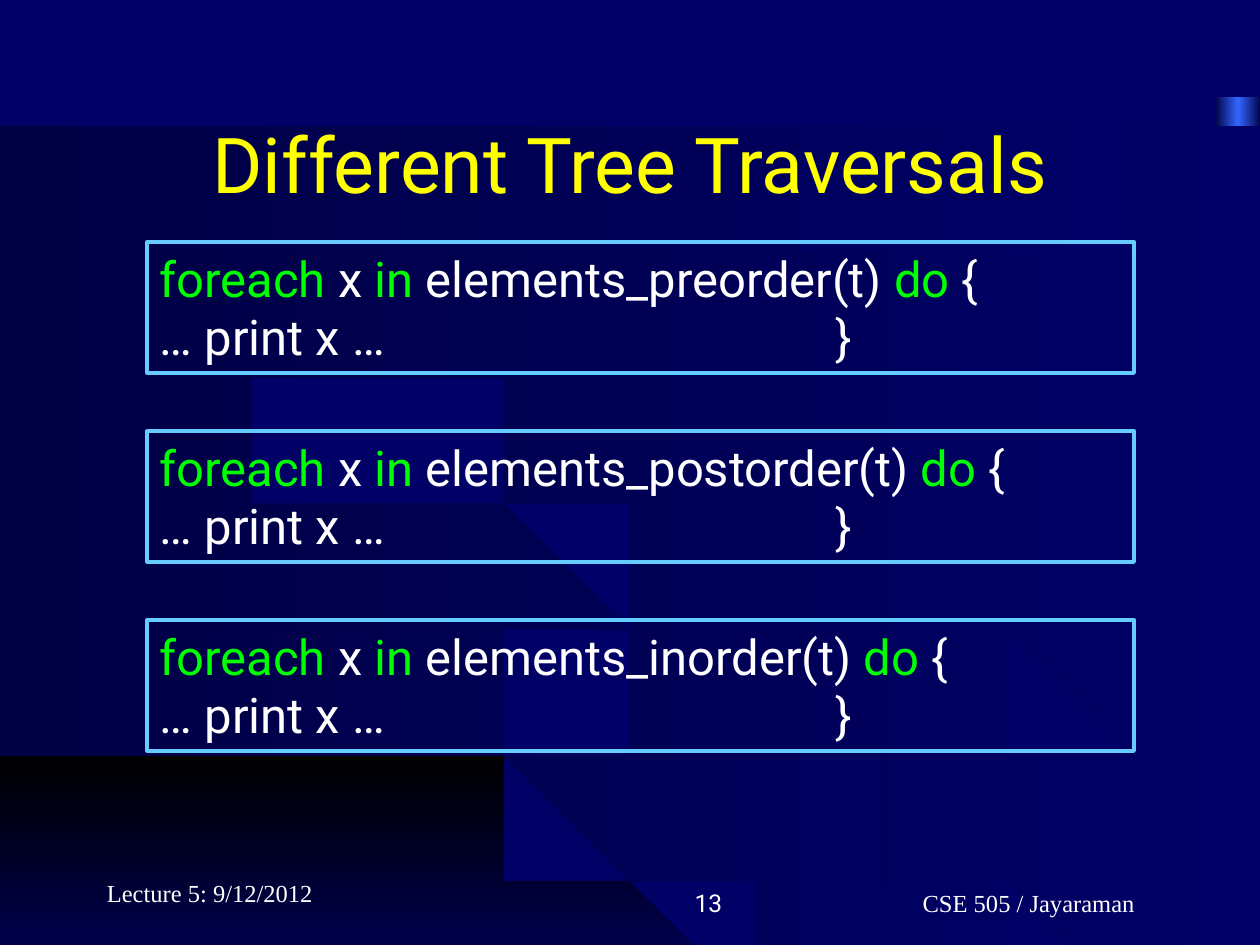
from copy import deepcopy

from lxml.etree import SubElement
from pptx import Presentation
from pptx.dml.color import RGBColor
from pptx.enum.shapes import MSO_SHAPE
from pptx.enum.text import MSO_ANCHOR, MSO_AUTO_SIZE, PP_ALIGN
from pptx.oxml.ns import qn
from pptx.util import Inches, Pt

COLORS = {
    "navy": "000066", "dark": "000044", "black": "000000", "glow": "3366FF",
    "frame": "66CCFF", "title": "FFFF00", "key": "00FF00", "text": "FFFFFF",
}
SANS, SERIF = "Roboto", "Times New Roman"
EDGE = 10.01

# Each arc leaves the left side level: start y, bend x, end x, end y.
# A band lies between two arcs, with an extra corner where it needs one.
BANDS = [
    ((4.95, 5.75, 8.94, 8.25), (5.54, 4.4, 6.43, 8.25)),
    ((4.21, 6.7, EDGE, 6.37), (4.8, 6.1, 9.1, 8.25), (EDGE, 8.25)),
    ((3.46, 5.4, EDGE, 4.56), (4.07, 6.5, EDGE, 6.19)),
    ((2.73, 5, EDGE, 2.73), (3.32, 5.6, EDGE, 4.42)),
    ((2.06, 6.7, 9.44, 0.75), (2.59, 5, EDGE, 2.59), (EDGE, 0.75)),
    ((1.39, 3.2, 5.57, 0.75), (1.92, 6, 9.18, 0.75)),
    ((0.75, 2.5, 5.02, 0.75), (1.24, 2.93, 5.02, 0.75)),
]
HILL = ((5.68, 4, 6.29, 8.27), (8.27, 3, 6.29, 8.27))


def rgb(name):
    """Return a palette colour."""
    return RGBColor.from_string(COLORS[name])


def blend(shape, *names, angle=0):
    """Fill a shape with evenly spaced gradient stops and no line."""
    shape.shadow.inherit = False
    shape.line.fill.background()
    shape.fill.gradient()
    shape.fill.gradient_angle = angle
    stops = shape._element.spPr.find(".//" + qn("a:gsLst"))
    for _ in names[2:]:
        stops.append(deepcopy(stops[0]))
    for i, (stop, name) in enumerate(zip(shape.fill.gradient_stops, names)):
        stop.color.rgb = rgb(name)
        stop.position = i / (len(names) - 1)


def arc(start, bend, right, end, steps=24):
    """Return points on a quadratic curve that starts level."""
    ticks = [i / steps for i in range(steps + 1)]
    return [(2 * t * (1 - t) * bend + t * t * right,
             start + t * t * (end - start)) for t in ticks]


def band(shapes, upper, lower, *corner):
    """Draw the area between two arcs."""
    points = arc(*upper) + list(corner) + arc(*lower)[::-1]
    pen = shapes.build_freeform(*points[0], scale=Inches(1))
    pen.add_line_segments(points[1:], close=True)
    return pen.convert_to_shape()


def write(para, text, size=14, font=SANS, color="text", align=None):
    """Add one formatted run to a paragraph."""
    run = para.add_run()
    run.text = text
    run.font.size = Pt(size)
    run.font.name = font
    run.font.color.rgb = rgb(color)
    if align is not None:
        para.alignment = align


def backdrop(slide):
    """Draw the glowing edge and the curved bands."""
    slide.background.fill.solid()
    slide.background.fill.fore_color.rgb = rgb("navy")
    shapes = slide.shapes.add_group_shape().shapes
    side = shapes.add_shape(MSO_SHAPE.RECTANGLE, Inches(9.64), Inches(0.77),
                            Inches(0.37), Inches(7.5))
    blend(side, "dark", "glow", "dark")
    blend(band(shapes, *HILL), "black", "navy", angle=270)
    for parts in BANDS:
        blend(band(shapes, *parts), "dark", "navy")


def heading(slide, text):
    """Fill the title placeholder and bring it to the front."""
    title = slide.shapes.title
    title.left, title.top = Inches(0.75), Inches(0.67)
    title.width, title.height = Inches(8.5), Inches(1.25)
    title.text_frame.vertical_anchor = MSO_ANCHOR.MIDDLE
    write(title.text_frame.paragraphs[0], text, size=44, color="title",
          align=PP_ALIGN.CENTER)
    slide.shapes._spTree.append(title._element)


def code(slide, top, order):
    """Draw a framed loop over one traversal order."""
    box = slide.shapes.add_shape(MSO_SHAPE.RECTANGLE, Inches(1.17),
                                 Inches(top), Inches(7.83), Inches(1.04))
    box.shadow.inherit = False
    box.fill.background()
    box.line.color.rgb = rgb("frame")
    box.line.width = Pt(2.25)
    frame = box.text_frame
    frame.word_wrap = True
    frame.auto_size = MSO_AUTO_SIZE.SHAPE_TO_FIT_TEXT
    frame.vertical_anchor = MSO_ANCHOR.TOP
    para = frame.paragraphs[0]
    para.alignment = PP_ALIGN.LEFT
    tabs = SubElement(para._p.get_or_add_pPr(), qn("a:tabLst"))
    SubElement(tabs, qn("a:tab"), pos=str(Inches(5.36)), algn="l")
    for text, color in (("foreach ", "key"), ("x ", "text"), ("in ", "key"),
                        (f"elements_{order}(t)", "text"), (" do ", "key"),
                        ("{", "text")):
        write(para, text, size=28, color=color)
    para.add_line_break()
    write(para, "… print x …\t}", size=28)


def note(slide, left, top, width, text, **style):
    """Add a footer text box."""
    box = slide.shapes.add_textbox(Inches(left), Inches(top),
                                   Inches(width), Inches(0.5))
    box.text_frame.word_wrap = True
    box.text_frame.vertical_anchor = MSO_ANCHOR.BOTTOM
    write(box.text_frame.paragraphs[0], text, **style)


def main():
    """Build and save the slide."""
    deck = Presentation()
    deck.slide_width, deck.slide_height = Inches(10), Inches(7.5)
    slide = deck.slides.add_slide(deck.slide_layouts[5])
    backdrop(slide)
    note(slide, 6.58, 6.83, 3.17, "CSE 505 / Jayaraman", font=SERIF,
         align=PP_ALIGN.CENTER)
    note(slide, 3.75, 6.83, 2.08, "13", align=PP_ALIGN.RIGHT)
    heading(slide, "Different Tree Traversals")
    for i, order in enumerate(("preorder", "postorder", "inorder")):
        code(slide, 1.92 + 1.5 * i, order)
    note(slide, 0.75, 6.75, 2.08, "Lecture 5: 9/12/2012", font=SERIF)
    deck.save("out.pptx")


main()
